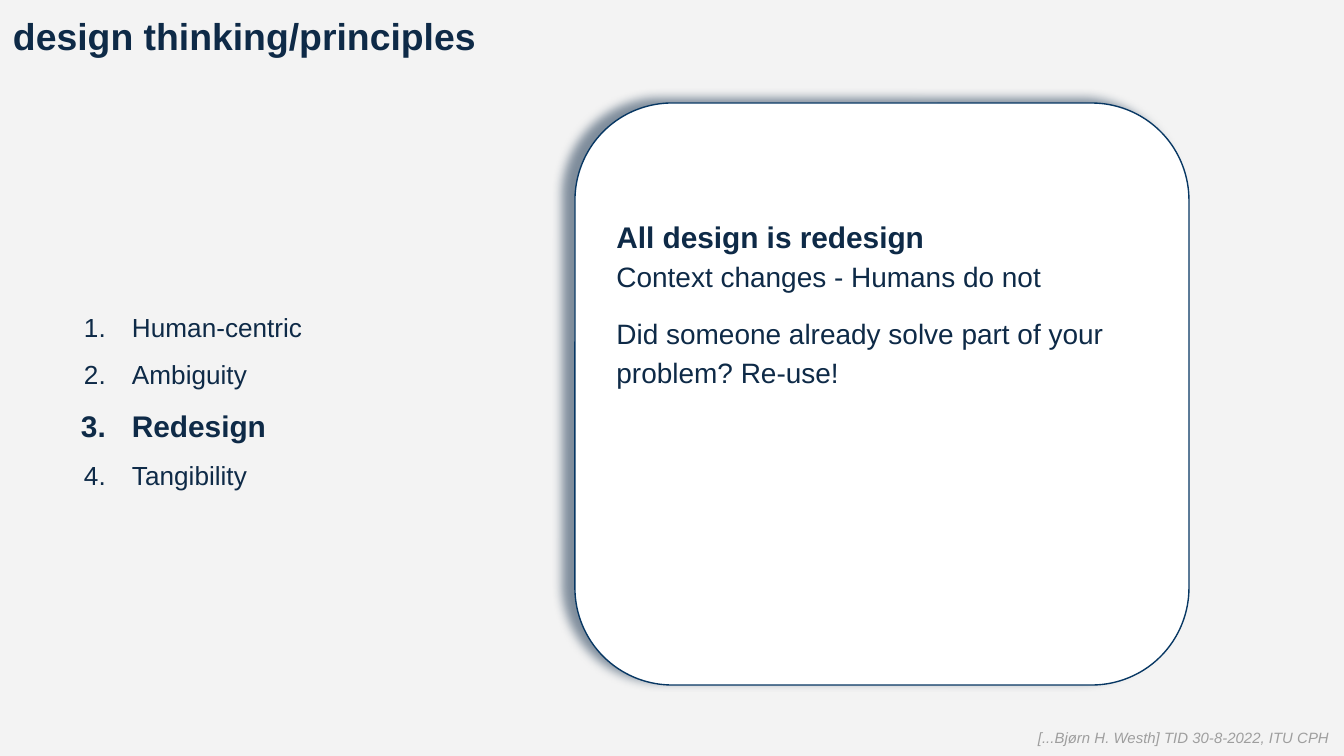
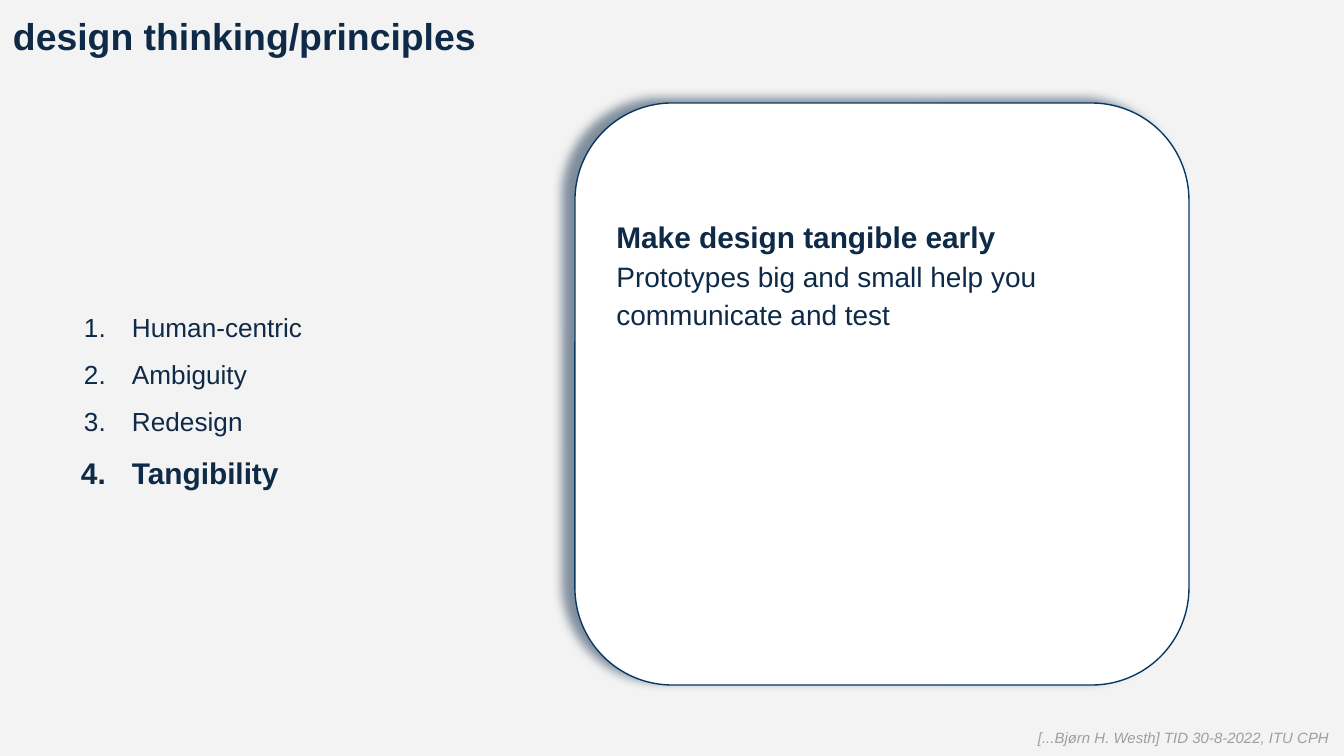
from lxml import etree
from pptx import Presentation
from pptx import util as u
from pptx.dml.color import RGBColor
from pptx.enum import shapes, text
from pptx.oxml import ns

# Content
TITLE = "design thinking/principles"
FOOTER = "[...Bjørn H. Westh] TID 30-8-2022, ITU CPH"
PRINCIPLES = ["Human-centric", "Ambiguity", "Redesign", "Tangibility"]
SLIDES = [
    {"current": "Redesign", "heading": "All design is redesign",
     "body": ["Context changes - Humans do not",
              "Did someone already solve part of your problem? Re-use!"]},
    {"current": "Tangibility", "heading": "Make design tangible early",
     "body": ["Prototypes big and small help you communicate and test"]},
]

# Shared look, lengths in pixels
COLORS = {"background": "F3F3F3", "navy": "0E2A47", "card": "FFFFFF",
          "outline": "073763", "footer": "9E9E9E"}
SCALE = 914400 / 134.4
BOXES = {"title": (0, 0, 1344, 67), "list": (52, 67, 452, 653),
         "card": (575, 103, 614, 582), "footer": (1025, 720, 332, 46)}
INSET = 13
CARD_TOP_INSET = 87
LIST_INDENT = 67
FONTS = {
    "title": {"size": u.Pt(20), "bold": True},
    "item": {"size": u.Pt(14), "bold": False},
    "strong": {"size": u.Pt(16), "bold": True},
    "body": {"size": u.Pt(15), "bold": False},
    "footer": {"size": u.Pt(8), "italic": True},
}


def px(length):
    return u.Emu(round(length * SCALE))


def color(name):
    return RGBColor.from_string(COLORS[name])


def set_frame(shape, anchor=text.MSO_ANCHOR.TOP, top=INSET):
    frame = shape.text_frame
    values = {"word_wrap": True, "vertical_anchor": anchor,
              "margin_left": px(INSET), "margin_right": px(INSET),
              "margin_top": px(top), "margin_bottom": px(INSET)}
    for name, value in values.items():
        setattr(frame, name, value)
    return frame


def write(frame, words, style, ink="navy", **spacing):
    """Fill the first paragraph if it is empty, otherwise add one."""
    paragraph = frame.paragraphs[-1]
    if paragraph.runs:
        paragraph = frame.add_paragraph()
    paragraph.alignment = text.PP_ALIGN.LEFT
    for name, value in spacing.items():
        setattr(paragraph, name, value)
    run = paragraph.add_run()
    run.text = words
    run.font.name = "Arial"
    run.font.color.rgb = color(ink)
    for name, value in FONTS[style].items():
        setattr(run.font, name, value)
    return paragraph


def add_child(parent, tag, **attributes):
    return etree.SubElement(parent, ns.qn(tag), attributes)


def number(paragraph, hanging):
    properties = paragraph._p.get_or_add_pPr()
    properties.set("marL", str(px(LIST_INDENT)))
    properties.set("indent", str(-px(hanging)))
    bullet_color = add_child(properties, "a:buClr")
    add_child(bullet_color, "a:srgbClr", val=COLORS["navy"])
    add_child(properties, "a:buAutoNum", type="arabicPeriod")


def add_box(slide, kind, box, fill):
    shape = slide.shapes.add_shape(kind, *map(px, BOXES[box]))
    shape.shadow.inherit = False
    shape.fill.solid()
    shape.fill.fore_color.rgb = color(fill)
    return shape


def add_line_of_text(slide, box, words, ink):
    shape = slide.shapes.add_textbox(*map(px, BOXES[box]))
    write(set_frame(shape), words, box, ink)


def add_principles(slide, current):
    shape = add_box(slide, shapes.MSO_SHAPE.RECTANGLE, "list", "background")
    shape.line.fill.background()
    frame = set_frame(shape, text.MSO_ANCHOR.MIDDLE)
    for index, principle in enumerate(PRINCIPLES):
        chosen = principle == current
        paragraph = write(frame, principle, "strong" if chosen else "item",
                          line_spacing=1.5,
                          space_before=u.Pt(0 if index else 10))
        number(paragraph, 51 if chosen else 48)


def add_card(slide, heading, body):
    shape = add_box(slide, shapes.MSO_SHAPE.ROUNDED_RECTANGLE, "card", "card")
    shape.adjustments[0] = 0.167
    shape.line.color.rgb = color("outline")
    shape.line.width = u.Pt(0.75)
    # Soft shadow towards the upper left
    effects = shape._element.spPr.find(ns.qn("a:effectLst"))
    shadow = add_child(effects, "a:outerShdw", blurRad=str(u.Pt(5.6)),
                       dist=str(u.Pt(6.8)), dir=str(199 * 60000),
                       algn="bl", rotWithShape="0")
    shade = add_child(shadow, "a:srgbClr", val=COLORS["navy"])
    add_child(shade, "a:alpha", val="51000")
    # Heading and explanation
    frame = set_frame(shape, top=CARD_TOP_INSET)
    write(frame, heading, "strong", line_spacing=1.0)
    for index, words in enumerate(body):
        last = index == len(body) - 1
        write(frame, words, "body", line_spacing=1.15,
              space_before=u.Pt(10 if index else 0),
              space_after=u.Pt(10 if last else 0))


# Build
presentation = Presentation()
presentation.slide_width = px(1344)
presentation.slide_height = px(756)
for content in SLIDES:
    slide = presentation.slides.add_slide(presentation.slide_layouts[6])
    slide.background.fill.solid()
    slide.background.fill.fore_color.rgb = color("background")
    add_line_of_text(slide, "title", TITLE, "navy")
    add_principles(slide, content["current"])
    add_card(slide, content["heading"], content["body"])
    add_line_of_text(slide, "footer", FOOTER, "footer")
presentation.save("out.pptx")
